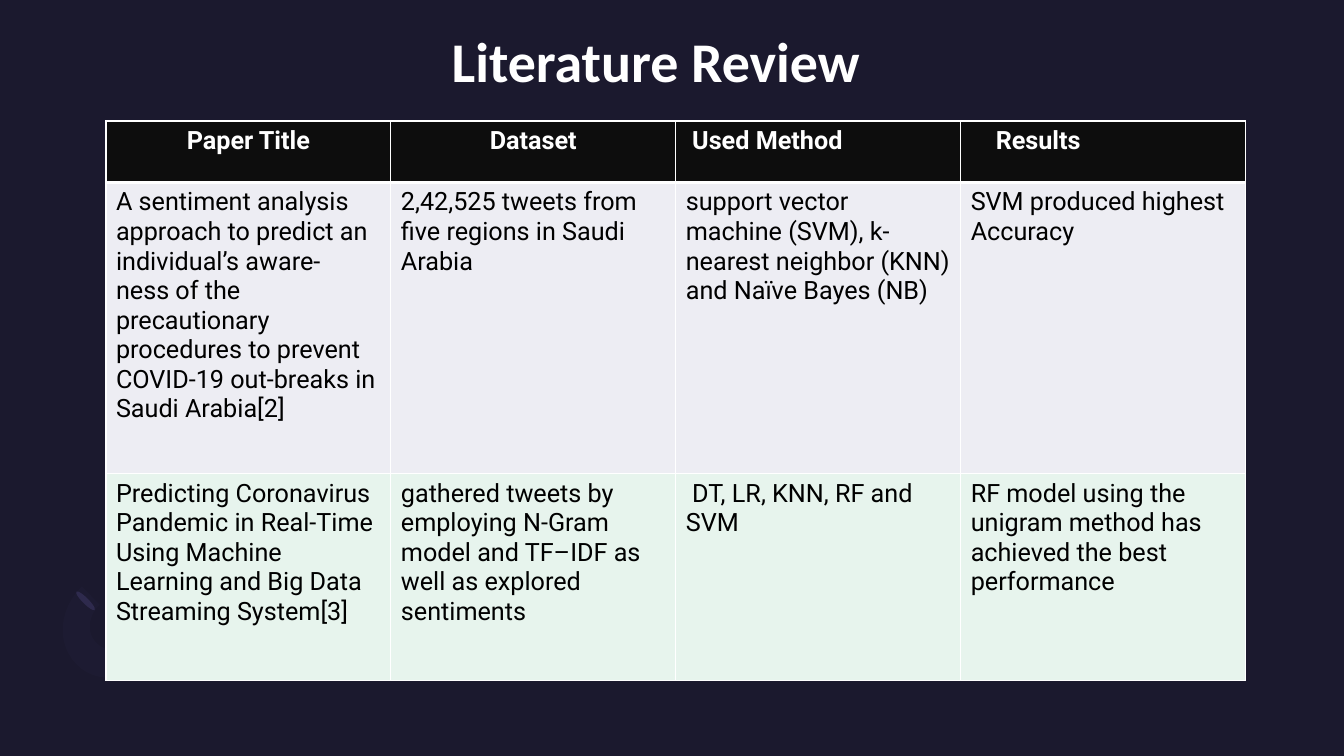
"""Build the literature review slide with its comparison table."""
from lxml import etree
from pptx import Presentation
from pptx.dml.color import RGBColor
from pptx.enum.shapes import MSO_SHAPE
from pptx.enum.text import MSO_ANCHOR, PP_ALIGN
from pptx.oxml import parse_xml
from pptx.oxml.ns import nsdecls, qn
from pptx.util import Cm, Pt

OVAL = MSO_SHAPE.OVAL
TOP = MSO_ANCHOR.TOP
LEFT, CENTER = PP_ALIGN.LEFT, PP_ALIGN.CENTER

NIGHT = RGBColor(0x1B, 0x19, 0x2E)
INDIGO = RGBColor(0x2C, 0x28, 0x4A)
VIOLET = RGBColor(0x77, 0x71, 0xB2)
WHITE = RGBColor(0xFF, 0xFF, 0xFF)
BLACK = RGBColor(0x00, 0x00, 0x00)
COAL = RGBColor(0x0D, 0x0D, 0x0D)
LAVENDER = RGBColor(0xED, 0xED, 0xF3)
MINT = RGBColor(0xE7, 0xF4, 0xED)

ROW_HEIGHTS = [1.55, 7.34, 5.21]
ROW_FILLS = [COAL, LAVENDER, MINT]
COLUMN_WIDTH = 7.18
FIRST_LINE_INDENTS = {(0, 2): 0.16, (0, 3): 0.63, (2, 2): 0.16}
ROWS = [
    ["Paper Title", "Dataset", "Used Method", "Results"],
    [
        "A sentiment analysis approach to predict an individual’s aware-\v"
        "ness of the precautionary procedures to prevent COVID-19 "
        "out-breaks in Saudi Arabia[2]",
        "2,42,525 tweets from five regions in Saudi Arabia",
        "support vector machine (SVM), k-nearest neighbor (KNN) "
        "and Naïve Bayes (NB)",
        "SVM produced highest Accuracy",
    ],
    [
        "Predicting Coronavirus Pandemic in Real-Time Using Machine "
        "Learning and Big Data Streaming System[3]",
        "gathered tweets by employing N-Gram model and TF–IDF "
        "as well as explored sentiments",
        "DT, LR, KNN, RF and SVM",
        "RF model using the unigram method has achieved the best performance",
    ],
]


def curve(start, first, second, end, steps=12):
    points = []
    for step in range(1, steps + 1):
        t = step / steps
        u = 1 - t
        points.append(tuple(
            Cm(u**3 * a + 3 * u**2 * t * b + 3 * u * t**2 * c + t**3 * d)
            for a, b, c, d in zip(start, first, second, end)
        ))
    return points


def set_border(cell, side, points):
    properties = cell._tc.get_or_add_tcPr()
    line = parse_xml(
        f'<a:ln{side} {nsdecls("a")} w="{Pt(points)}"><a:solidFill>'
        f'<a:srgbClr val="{WHITE}"/></a:solidFill></a:ln{side}>'
    )
    properties.insert("LRTB".index(side), line)


deck = Presentation()
deck.slide_width, deck.slide_height = Cm(33.87), Cm(19.05)
page = deck.slides.add_slide(deck.slide_layouts[5])
page.background.fill.solid()
page.background.fill.fore_color.rgb = NIGHT

for left, top in [(3.43, 16.18), (2.08, 14.81)]:
    petal = page.shapes.add_shape(OVAL, Cm(left), Cm(top), Cm(0.15), Cm(0.66))
    petal.rotation = 135
    petal.shadow.inherit = False
    petal.fill.solid()
    petal.fill.fore_color.rgb = INDIGO
    petal.line.fill.background()

outline = (
    curve((1.93, 16.74), (1.42, 16.23), (1.47, 15.37), (2.06, 14.78))
    + [(Cm(2.51), Cm(15.24))]
    + curve((2.51, 15.24), (2.21, 15.52), (2.18, 15.98), (2.44, 16.21))
    + curve((2.44, 16.21), (2.69, 16.46), (3.12, 16.43), (3.43, 16.15))
    + [(Cm(3.86), Cm(16.61))]
    + curve((3.86, 16.61), (3.3, 17.17), (2.41, 17.25), (1.93, 16.74))
)
builder = page.shapes.build_freeform(Cm(1.93), Cm(16.74))
builder.add_line_segments(outline, close=True)
crescent = builder.convert_to_shape()
crescent.shadow.inherit = False
crescent.fill.solid()
crescent.fill.fore_color.rgb = VIOLET
crescent.line.fill.background()
tint = crescent.fill._xPr.find(qn("a:solidFill"))[0]
etree.SubElement(tint, qn("a:alpha")).set("val", "3000")

title = page.shapes.title
title.left, title.top, title.width, title.height = Cm(11.13), Cm(0.53), Cm(11.6), Cm(1.96)
title.text_frame.text = "Literature Review"
title.text_frame.vertical_anchor = TOP
title.text_frame.word_wrap = True
heading = title.text_frame.paragraphs[0]
heading.alignment = LEFT
heading.font.name = "Calibri"
heading.font.size = Pt(40)
heading.font.bold = True
heading.font.color.rgb = WHITE

table = page.shapes.add_table(
    len(ROWS), len(ROWS[0]), Cm(2.67), Cm(3.05),
    Cm(COLUMN_WIDTH * len(ROWS[0])), Cm(sum(ROW_HEIGHTS)),
).table
for column in table.columns:
    column.width = Cm(COLUMN_WIDTH)

for row, texts in enumerate(ROWS):
    table.rows[row].height = Cm(ROW_HEIGHTS[row])
    is_header = row == 0
    for column, text in enumerate(texts):
        cell = table.cell(row, column)
        cell.fill.solid()
        cell.fill.fore_color.rgb = ROW_FILLS[row]
        for side in "LRTB":
            thick = (row, side) in [(0, "B"), (1, "T")]
            set_border(cell, side, 3 if thick else 1)
        cell.text_frame.text = text
        para = cell.text_frame.paragraphs[0]
        para.alignment = CENTER if is_header and column < 2 else LEFT
        para.font.name = "Roboto"
        para.font.size = Pt(18)
        para.font.bold = is_header
        para.font.color.rgb = WHITE if is_header else BLACK
        indent = FIRST_LINE_INDENTS.get((row, column))
        if indent:
            para._p.get_or_add_pPr().set("indent", str(Cm(indent)))

deck.save("out.pptx")
